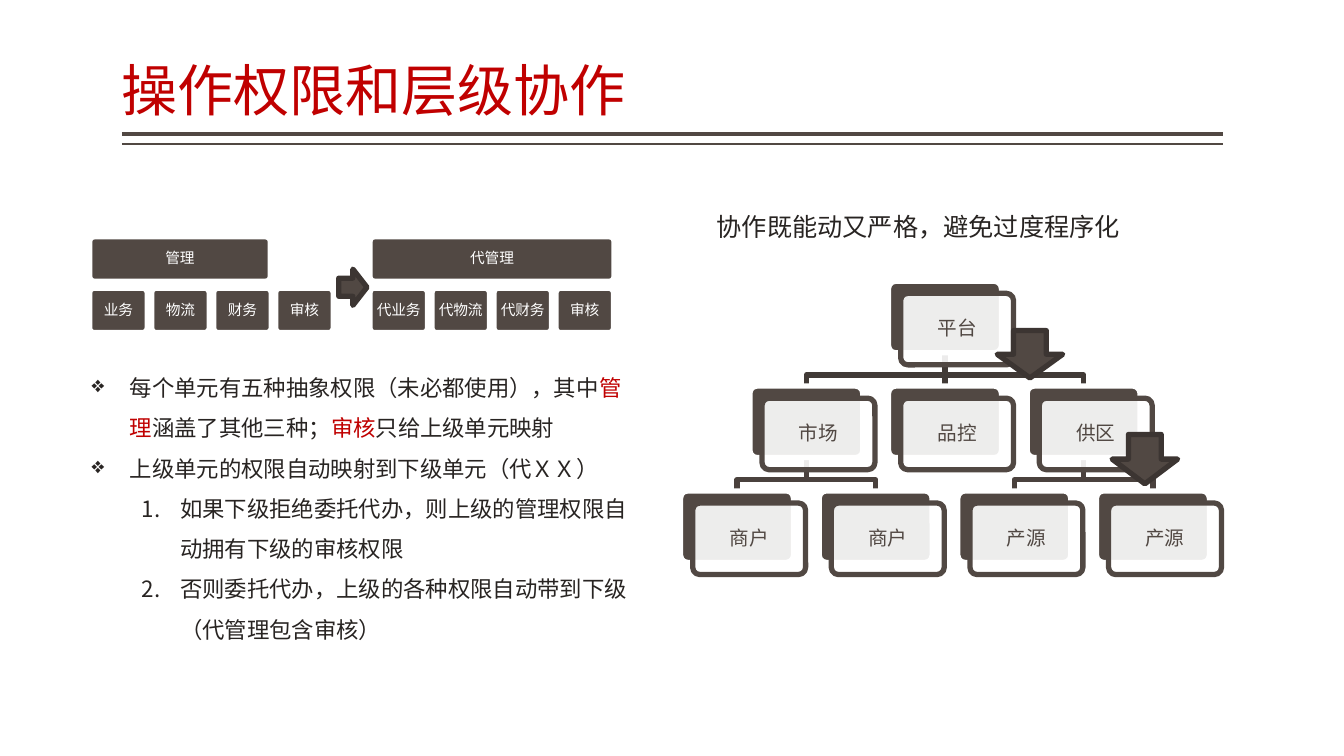
from lxml import etree
from pptx import Presentation
from pptx.dml.color import RGBColor
from pptx.enum import shapes, text
from pptx.oxml.ns import qn
from pptx.util import Inches, Pt

FONT = "Noto Sans CJK SC"
C = dict(brown="514843", edge="3C3532", top_link="413A36", low_link="4A413D",
         red="C00000", ink="282422", white="FFFFFF")
LINE = 3.78

TITLE = "操作权限和层级协作"
CAPTION = "协作既能动又严格，避免过度程序化"
# left, width of the heading box, heading, units
PERMISSIONS = [
    (0.89, 1.79, "管理", ["业务", "物流", "财务", "审核"]),
    (3.67, 2.42, "代管理", ["代业务", "代物流", "代财务", "审核"]),
]
# name, column, level, index of parent
TREE = [
    ("平台", 1.5, 0, None),
    ("市场", 0.5, 1, 0), ("品控", 1.5, 1, 0), ("供区", 2.5, 1, 0),
    ("商户", 0, 2, 1), ("商户", 1, 2, 1), ("产源", 2, 2, 3), ("产源", 3, 2, 3),
]
# bullet, runs of (text, colour)
POINTS = [
    ("❖", [("每个单元有五种抽象权限（未必都使用），其中", "ink"), ("管理", "red"),
           ("涵盖了其他三种；", "ink"), ("审核", "red"), ("只给上级单元映射", "ink")]),
    ("❖", [("上级单元的权限自动映射到下级单元（代ＸＸ）", "ink")]),
    (None, [("如果下级拒绝委托代办，则上级的管理权限自动拥有下级的审核权限", "ink")]),
    (None, [("否则委托代办，上级的各种权限自动带到下级（代管理包含审核）", "ink")]),
]
ARROWS = [
    ("DOWN_ARROW", 9.89, 3.28, 0.65, 0.47),
    ("DOWN_ARROW", 11.03, 4.31, 0.65, 0.49),
    ("RIGHT_ARROW", 3.36, 2.67, 0.28, 0.36),
]

prs = Presentation()
prs.slide_width, prs.slide_height = Inches(13.33), Inches(7.5)
slide = prs.slides.add_slide(prs.slide_layouts[5])
tree = slide.shapes


def rgb(name):
    return RGBColor.from_string(C[name])


def write(p, content, size=16, color="ink", align=None, spacing=None):
    r = p.add_run()
    r.text = content
    r.font.size, r.font.name = Pt(size), FONT
    r.font.color.rgb = rgb(color)
    etree.SubElement(r.font._element, qn("a:ea"), typeface=FONT)
    if align is not None:
        p.alignment = align
    if spacing:
        p.line_spacing = spacing


def box(kind, x, y, w, h, fill="brown", line="white", label=None, size=10.5, color="white"):
    sp = tree.add_shape(getattr(shapes.MSO_SHAPE, kind), *map(Inches, (x, y, w, h)))
    sp.shadow.inherit = False
    sp.fill.solid()
    sp.fill.fore_color.rgb = rgb(fill)
    sp.line.color.rgb = rgb(line)
    sp.line.width = Pt(LINE)
    if kind == "ROUNDED_RECTANGLE":
        sp.adjustments[0] = 0.1
    if label:
        tf = sp.text_frame
        tf.word_wrap = True
        tf.margin_left = tf.margin_right = Inches(0.03)
        tf.vertical_anchor = text.MSO_ANCHOR.MIDDLE
        write(tf.paragraphs[0], label, size=size, color=color,
              align=text.PP_ALIGN.CENTER, spacing=0.9)
    return sp


def text_box(x, y, w, h):
    tf = tree.add_textbox(*map(Inches, (x, y, w, h))).text_frame
    tf.word_wrap = True
    tf.auto_size = text.MSO_AUTO_SIZE.SHAPE_TO_FIT_TEXT
    return tf


def straight(x1, y1, x2, y2, color, width):
    cn = tree.add_connector(shapes.MSO_CONNECTOR.STRAIGHT, *map(Inches, (x1, y1, x2, y2)))
    cn.line.color.rgb = rgb(color)
    cn.line.width = Pt(width)
    etree.SubElement(cn._element.spPr, qn("a:effectLst"))
    return cn


# Title and its double rule
title = tree.title
title.left, title.top, title.width, title.height = map(Inches, (1.21, 0.08, 10.92, 1.2))
tf = title.text_frame
tf.margin_left = tf.margin_right = 0
tf.vertical_anchor = text.MSO_ANCHOR.BOTTOM
write(tf.paragraphs[0], TITLE, size=40, color="red", align=text.PP_ALIGN.LEFT, spacing=0.9)
for y, width in ((1.33, 3), (1.43, 1)):
    straight(1.21, y, 12.13, y, "brown", width)

# Permission blocks
UNIT_W, UNIT_H, UNIT_STEP = 0.57, 0.44, 0.615
for left, width, heading, units in PERMISSIONS:
    box("ROUNDED_RECTANGLE", left, 2.35, width, UNIT_H, label=heading)
    for i, unit in enumerate(units):
        box("ROUNDED_RECTANGLE", left + i * UNIT_STEP, 2.86, UNIT_W, UNIT_H, label=unit)

# Hierarchy: each node is a dark card with a translucent one in front
CARD_W, CARD_H, OFFSET = 1.12, 0.71, 0.12
COL_STEP, ROW_STEP = 1.375, 1.04
backs = []
for name, col, level, parent in TREE:
    x, y = 6.75 + col * COL_STEP, 2.79 + level * ROW_STEP
    backs.append(box("ROUNDED_RECTANGLE", x, y, CARD_W, CARD_H))
    front = box("ROUNDED_RECTANGLE", x + OFFSET, y + OFFSET, CARD_W, CARD_H, fill="white",
                line="brown", label=name, size=14, color="brown")
    fill_color = front._element.spPr.find(qn("a:solidFill"))[0]
    etree.SubElement(fill_color, qn("a:alpha"), val="90000")

# Links between levels, placed behind the cards
for (name, col, level, parent), child in zip(TREE, backs):
    if parent is None:
        continue
    above = backs[parent]
    x1, y1 = above.left + above.width // 2, above.top + above.height
    x2, y2 = child.left + child.width // 2, child.top
    color = "top_link" if level == 1 else "low_link"
    if col == TREE[parent][1]:
        link = straight(0, 0, 0, 0, color, LINE)
        link.begin_connect(above, 2)
        link.end_connect(child, 0)
    else:
        bend = y1 + Inches(0.22)
        fb = tree.build_freeform(x1, y1)
        fb.add_line_segments([(x1, bend), (x2, bend), (x2, y2)], close=False)
        link = fb.convert_to_shape()
        link.shadow.inherit = False
        link.fill.background()
        link.line.color.rgb = rgb(color)
        link.line.width = Pt(LINE)
    tree._spTree.insert(2, link._element)

# Block arrows
for kind, x, y, w, h in ARROWS:
    box(kind, x, y, w, h, line="edge")

# Explanation list
tf = text_box(0.81, 3.53, 5.51, 2.88)
for i, (bullet, runs) in enumerate(POINTS):
    p = tf.paragraphs[0] if i == 0 else tf.add_paragraph()
    for content, color in runs:
        write(p, content, color=color, spacing=1.5)
    pPr = p._p.get_or_add_pPr()
    pPr.set("marL", str(Inches(0.38 if bullet else 0.88)))
    pPr.set("indent", str(-Inches(0.38)))
    if bullet:
        etree.SubElement(pPr, qn("a:buChar"), char=bullet)
    else:
        p.level = 1
        etree.SubElement(pPr, qn("a:buAutoNum"), type="arabicPeriod")

# Caption over the hierarchy
write(text_box(7.01, 2.05, 4.67, 0.4).paragraphs[0], CAPTION, size=18)

prs.save("out.pptx")
